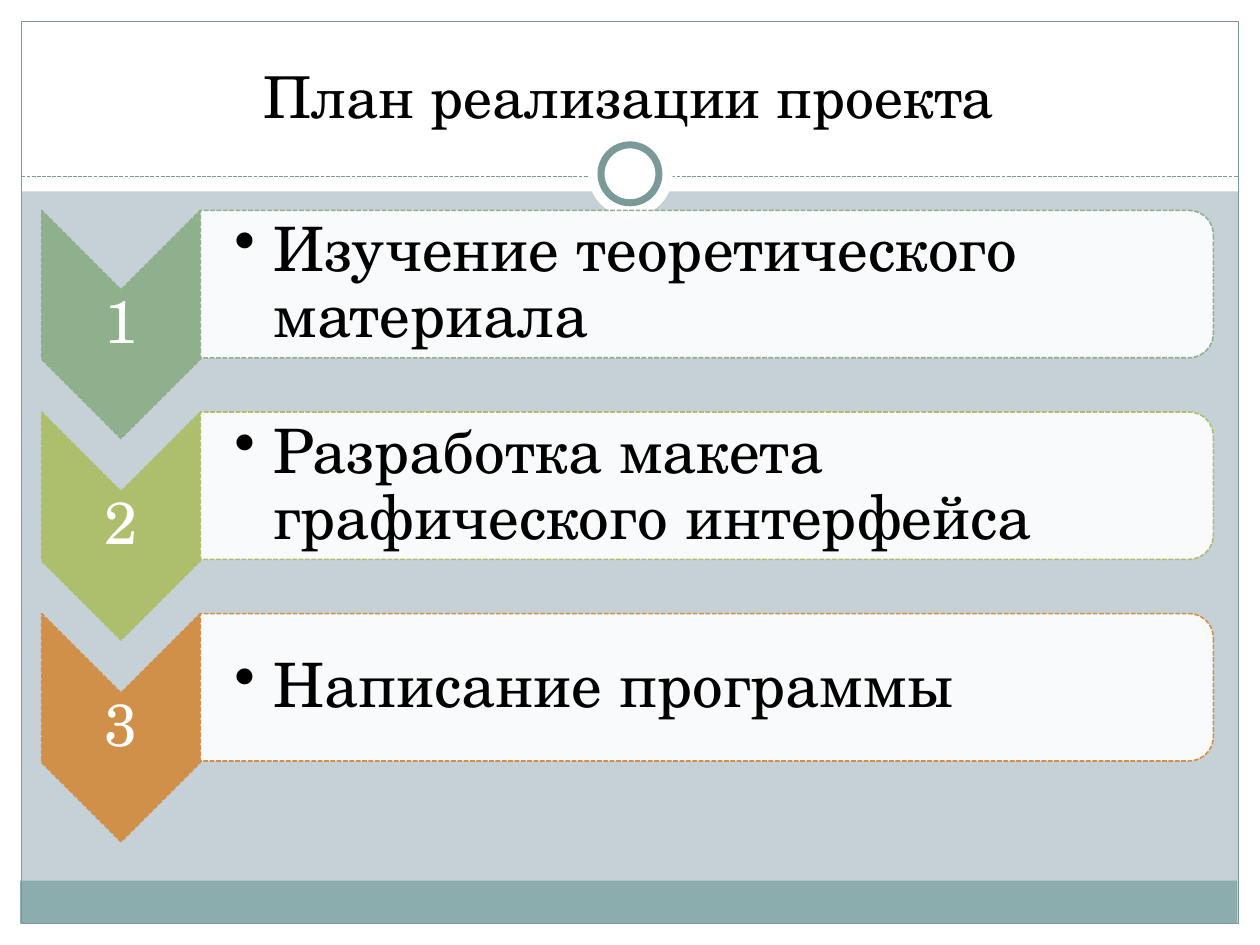
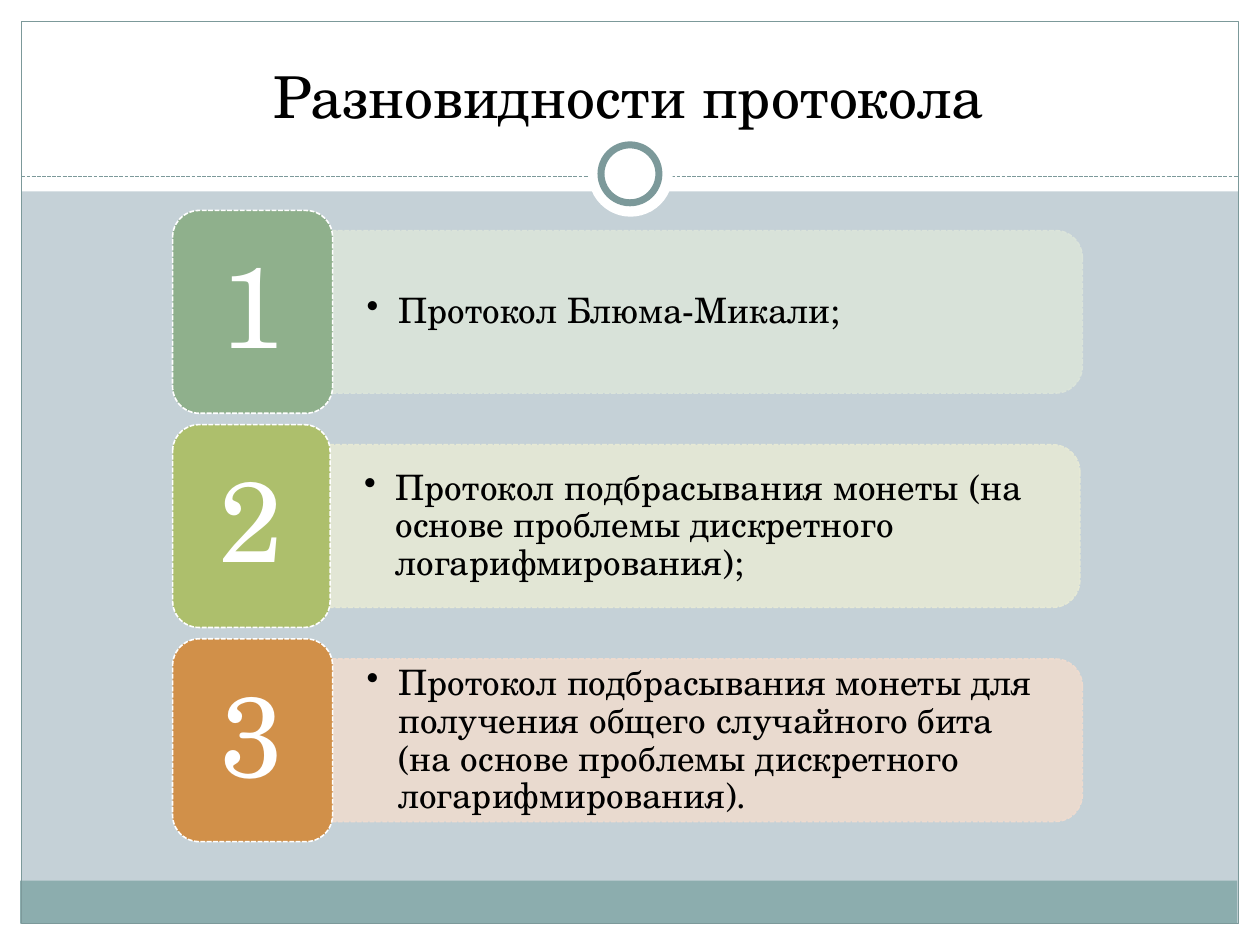
from lxml.etree import SubElement
from pptx import Presentation
from pptx.dml.color import RGBColor
from pptx.enum.dml import MSO_LINE
from pptx.enum.shapes import MSO_CONNECTOR, MSO_SHAPE
from pptx.enum.text import MSO_ANCHOR, PP_ALIGN
from pptx.oxml.ns import qn
from pptx.util import Inches, Pt

FONT = "TeX Gyre Schola"
BLACK = RGBColor(0x00, 0x00, 0x00)
WHITE = RGBColor(0xFF, 0xFF, 0xFF)
BACKGROUND = RGBColor(0xC5, 0xD1, 0xD7)
TEAL = RGBColor(0x7C, 0x99, 0x9A)
FOOTER = RGBColor(0x8C, 0xAD, 0xAE)
GREEN = RGBColor(0x8F, 0xB0, 0x8C)
LIME = RGBColor(0xAD, 0xBF, 0x6C)
ORANGE = RGBColor(0xD1, 0x90, 0x49)
PALE_GREEN = RGBColor(0xDB, 0xE4, 0xDA)
PALE_LIME = RGBColor(0xE6, 0xE9, 0xD5)
PALE_ORANGE = RGBColor(0xEE, 0xDB, 0xCF)

ACCENTS = (GREEN, LIME, ORANGE)
TINTS = (PALE_GREEN, PALE_LIME, PALE_ORANGE)
PLAN_STEPS = (
    "Изучение теоретического материала",
    "Разработка макета графического интерфейса",
    "Написание программы",
)
PROTOCOLS = (
    "Протокол Блюма-Микали;",
    "Протокол подбрасывания монеты (на основе проблемы дискретного логарифмирования);",
    "Протокол подбрасывания монеты для получения общего случайного бита "
    "(на основе проблемы дискретного логарифмирования).",
)


def add_box(s, kind, x, y, w, h, fill=None, line=None, width=0.9, dash=None, alpha=None):
    sp = s.shapes.add_shape(kind, Inches(x), Inches(y), Inches(w), Inches(h))
    sp.shadow.inherit = False
    if fill is None:
        sp.fill.background()
    else:
        sp.fill.solid()
        sp.fill.fore_color.rgb = fill
    if alpha is not None:
        color = sp._element.spPr.find(qn("a:solidFill")).find(qn("a:srgbClr"))
        SubElement(color, qn("a:alpha"), val=str(alpha * 1000))
    if line is None:
        sp.line.fill.background()
    else:
        sp.line.color.rgb = line
        sp.line.width = Pt(width)
        sp.line.dash_style = dash
    return sp


def add_turned(s, kind, x, y, w, h, **style):
    shift = (w - h) / 2
    sp = add_box(s, kind, x + shift, y - shift, h, w, dash=MSO_LINE.SQUARE_DOT, **style)
    sp.rotation = 90
    return sp


def add_text(s, text, x, y, w, h, size=20, color=BLACK, align=PP_ALIGN.LEFT,
             anchor=MSO_ANCHOR.MIDDLE, insets=(0.1, 0.05, 0.1, 0.05), spacing=None, indent=None):
    tf = s.shapes.add_textbox(Inches(x), Inches(y), Inches(w), Inches(h)).text_frame
    tf.word_wrap = True
    tf.vertical_anchor = anchor
    tf.margin_left, tf.margin_top, tf.margin_right, tf.margin_bottom = map(Inches, insets)
    p = tf.paragraphs[0]
    p.alignment = align
    p.line_spacing = spacing
    if indent is not None:
        ppr = p._p.get_or_add_pPr()
        ppr.set("marL", str(Inches(indent)))
        ppr.set("indent", str(-Inches(indent)))
        SubElement(ppr, qn("a:buChar"), char="•")
    r = p.add_run()
    r.text = text
    r.font.name = FONT
    r.font.size = Pt(size)
    r.font.color.rgb = color


def add_dashed_rule(s, x, y, end):
    cn = s.shapes.add_connector(MSO_CONNECTOR.STRAIGHT, Inches(x), Inches(y), Inches(end), Inches(y))
    cn.line.color.rgb = TEAL
    cn.line.width = Pt(0.75)
    cn.line.dash_style = MSO_LINE.SQUARE_DOT
    SubElement(cn._element.spPr, qn("a:effectLst"))


def add_framed_slide(prs, title):
    s = prs.slides.add_slide(prs.slide_layouts[6])
    s.background.fill.solid()
    s.background.fill.fore_color.rgb = BACKGROUND
    for band in ((0, 7.33, 10, 0.17), (0, 0, 10, 1.52), (0, 0, 0.17, 7.5), (9.83, 0, 0.17, 7.5)):
        add_box(s, MSO_SHAPE.RECTANGLE, *band, fill=WHITE)
    add_box(s, MSO_SHAPE.RECTANGLE, 0.16, 6.99, 9.66, 0.34, fill=FOOTER)
    add_box(s, MSO_SHAPE.RECTANGLE, 0.17, 0.17, 9.66, 7.16, line=TEAL, width=0.75)
    add_dashed_rule(s, 0.17, 1.4, 9.83)
    add_box(s, MSO_SHAPE.OVAL, 4.67, 1.05, 0.67, 0.67, fill=WHITE)
    add_box(s, MSO_SHAPE.OVAL, 4.77, 1.15, 0.46, 0.46, fill=WHITE, line=TEAL, width=4)
    add_text(s, title, 0.33, 0.25, 9.33, 0.83, size=33, align=PP_ALIGN.CENTER,
             anchor=MSO_ANCHOR.BOTTOM)
    return s


def add_plan_step(s, number, y, text, accent):
    add_turned(s, MSO_SHAPE.CHEVRON, 0.33, y, 1.26, 1.81, fill=accent, line=accent)
    add_text(s, str(number), 0.33, y + 0.63, 1.26, 0.54, size=34, color=WHITE,
             align=PP_ALIGN.CENTER, insets=(0.02,) * 4, spacing=0.9)
    add_turned(s, MSO_SHAPE.ROUND_2_SAME_RECTANGLE, 1.59, y, 8.04, 1.17,
               fill=WHITE, line=accent, alpha=90)
    add_text(s, text, 1.59, y + 0.06, 7.98, 1.06, size=35,
             insets=(0.27, 0.02, 0.02, 0.02), spacing=0.9, indent=0.31)


def add_protocol(s, number, y, text, accent, tint, badge_width):
    x = 1.37
    panel_x = x + badge_width
    insets = (0.27, 0.14, 0.27, 0.14)
    add_turned(s, MSO_SHAPE.ROUND_2_SAME_RECTANGLE, panel_x, y + 0.16, 5.95, 1.29,
               fill=tint, line=tint, alpha=90)
    add_text(s, text, panel_x, y + 0.23, 5.89, 1.16, insets=insets, spacing=0.9, indent=0.25)
    add_box(s, MSO_SHAPE.ROUNDED_RECTANGLE, x, y, badge_width, 1.61,
            fill=accent, line=WHITE, dash=MSO_LINE.SQUARE_DOT)
    add_text(s, str(number), x + 0.06, y + 0.06, badge_width - 0.12, 1.49, size=65,
             color=WHITE, align=PP_ALIGN.CENTER, insets=insets, spacing=0.9)


def main():
    prs = Presentation()
    prs.slide_width, prs.slide_height = Inches(10), Inches(7.5)

    s = add_framed_slide(prs, "План реализации проекта")
    for i, (text, accent) in enumerate(zip(PLAN_STEPS, ACCENTS)):
        add_plan_step(s, i + 1, 1.67 + 1.6 * i, text, accent)

    s = add_framed_slide(prs, "Разновидности протокола")
    badge_widths = (1.27, 1.25, 1.27)
    for i, (text, accent, tint, width) in enumerate(zip(PROTOCOLS, ACCENTS, TINTS, badge_widths)):
        add_protocol(s, i + 1, 1.67 + 1.7 * i, text, accent, tint, width)

    prs.save("out.pptx")


if __name__ == "__main__":
    main()
